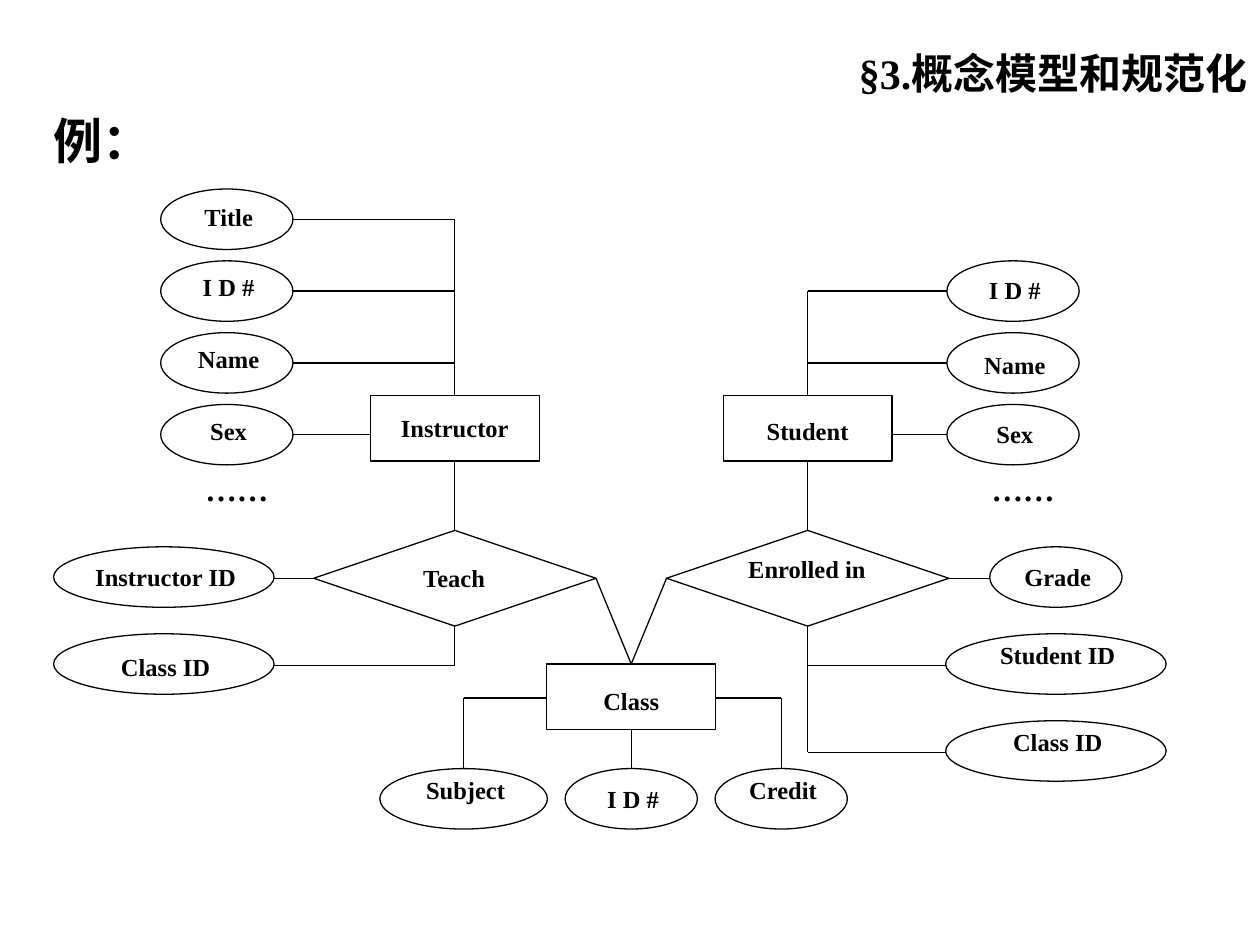
from dataclasses import dataclass

from lxml.etree import SubElement
from pptx import Presentation
from pptx.dml.color import RGBColor as Rgb
from pptx.enum.shapes import MSO_CONNECTOR as Link, MSO_SHAPE as Kind
from pptx.enum.text import MSO_ANCHOR as Anchor, PP_ALIGN as Align
from pptx.oxml.ns import qn
from pptx.util import Pt

PX = 9144  # 100 px to the inch


@dataclass(frozen=True)
class Theme:
    ink: Rgb = Rgb(0, 0, 0)
    font: str = "Times New Roman"
    head: int = 24
    lead: int = 28
    dots: int = 18
    label: int = 14
    rule: float = 0.75


THEME = Theme()
OVAL_H = 48


def emu(*vals):
    return [int(v * PX) for v in vals]


def write(shape, text, size=THEME.label, align=Align.CENTER, gap=None,
          anchor=Anchor.TOP, pad=(2, 1)):
    frame = shape.text_frame
    frame.word_wrap = True
    frame.vertical_anchor = anchor
    side, top = emu(*pad)
    frame.margin_left = frame.margin_right = side
    frame.margin_top = frame.margin_bottom = top
    para = frame.paragraphs[0]
    para.alignment = align
    if gap:
        para.line_spacing = gap
    run = para.add_run()
    run.text = text
    font = run.font
    font.name, font.size, font.bold = THEME.font, Pt(size), True
    font.color.rgb = THEME.ink


def note(pen, box, text, **form):
    write(pen.add_textbox(*emu(*box)), text, **form)


def shape(pen, kind, box):
    item = pen.add_shape(kind, *emu(*box))
    item.shadow.inherit = False
    item.fill.background()
    item.line.color.rgb = THEME.ink
    item.line.width = Pt(THEME.rule)
    return item


def line(pen, x1, y1, x2, y2):
    item = pen.add_connector(Link.STRAIGHT, *emu(x1, y1, x2, y2))
    item.line.color.rgb = THEME.ink
    item.line.width = Pt(THEME.rule)
    SubElement(item._element.spPr, qn("a:effectLst"))


def oval(pen, mid, y, wide, text, gap=None, inset=16, drop=4):
    """Ellipse centred on mid, with its label."""
    x = mid - wide / 2
    note(pen, (x + inset, y + drop, wide - 2 * inset + 3, 43), text, gap=gap)
    shape(pen, Kind.OVAL, (x, y, wide, OVAL_H))


def entry(pen, box, text, gap):
    write(shape(pen, Kind.RECTANGLE, box), text, gap=gap, pad=(2, 2))


def entity(pen, box, name, gap, col, traits):
    """Entity box; its traits rise in a column centred col px away."""
    x, y, w, h = box
    mid, wide, step = x + w / 2, 105, 57
    sign = 1 if col > 0 else -1
    edge = mid + col - sign * wide / 2
    base = y + 7
    first = base - step * (len(traits) - 1)
    entry(pen, box, name, gap)
    for i, (text, space) in enumerate(traits):
        top = first + i * step
        oval(pen, mid + col, top, wide, text, space, drop=1)
        end = mid if top < base else mid + sign * w / 2
        line(pen, edge, top + OVAL_H / 2, end, top + OVAL_H / 2)
    line(pen, mid, first + OVAL_H / 2, mid, y)
    note(pen, (mid + col - 34, y + 55, 84, 38), "……",
         size=THEME.dots, pad=(2, 4))


def bond(pen, box, name, gap, col, traits):
    """Relation diamond; its traits hang in a column centred col px away."""
    x, y, w, h = box
    mid, step = x + w / 2, 69
    sign = 1 if col > 0 else -1
    shape(pen, Kind.DIAMOND, box)
    note(pen, (mid - 79, y + 17, 157, 38), name, gap=gap, pad=(2, 2))
    for i, (text, space, wide, inset) in enumerate(traits):
        top = y + 13 + i * step
        oval(pen, mid + col, top, wide, text, space, inset)
        start = mid if i else mid + sign * w / 2
        row = y + h / 2 + i * step
        line(pen, start, row, mid + col - sign * wide / 2, row)
    line(pen, mid, y + h, mid, y + h / 2 + (len(traits) - 1) * step)


def course(pen, box):
    """Class box with three traits below it."""
    x, y, w, h = box
    mid, row, top = x + w / 2, y + 27, y + 83
    entry(pen, box, "Class", 1.65)
    left, right = mid - 133, mid + 119
    oval(pen, left, top, 133, "Subject", inset=12)
    oval(pen, mid, top, 105, "I D #", 1.45, drop=1)
    oval(pen, right, top, 105, "Credit", inset=9)
    for edge, stem in ((x, left), (x + w, right)):
        line(pen, edge, row, stem, row)
        line(pen, stem, row, stem, top)
    line(pen, mid, y + h, mid, top)


def chart(pen):
    """Whole diagram: two entities, two relations and the class."""
    entity(pen, (294, 314, 134, 52), "Instructor", 1.5, -181,
           [("Title", 1.35), ("I D #", 1.3), ("Name", 1.3), ("Sex", 1.3)])
    entity(pen, (574, 314, 134, 52), "Student", 1.6, 163,
           [("I D #", 1.4), ("Name", 1.5), ("Sex", 1.4)])
    bond(pen, (249, 421, 224, 76), "Teach", 1.3, -231,
         [("Instructor ID", 1.3, 175, 16), ("Class ID", 1.4, 175, 16)])
    bond(pen, (529, 421, 224, 76), "Enrolled in", None, 197,
         [("Grade", 1.3, 105, 9), ("Student ID", None, 175, 16),
          ("Class ID", None, 175, 16)])
    course(pen, (434, 527, 134, 52))
    # Links between the parts
    for mid in (361, 641):
        line(pen, mid, 366, mid, 421)
    for tip in (473, 529):
        line(pen, tip, 459, 501, 527)


def header(slide, box):
    """Slide title and the lead word below it."""
    x, y, w, h = box
    title = slide.shapes.title
    title.left, title.top, title.width, title.height = emu(
        x + w - 358, y, 358, 50)
    write(title, "§3.概念模型和规范化", size=THEME.head, align=Align.RIGHT,
          anchor=Anchor.MIDDLE, pad=(10, 5))
    note(slide.shapes, (x, y + 50, 117, 57), "例：", size=THEME.lead,
         align=Align.LEFT, pad=(10, 5))


def main():
    deck = Presentation()
    deck.slide_width, deck.slide_height = emu(1000, 750)
    slide = deck.slides.add_slide(deck.slide_layouts[5])
    header(slide, (33, 33, 967, 107))
    chart(slide.shapes.add_group_shape().shapes)
    deck.save("out.pptx")


if __name__ == "__main__":
    main()
